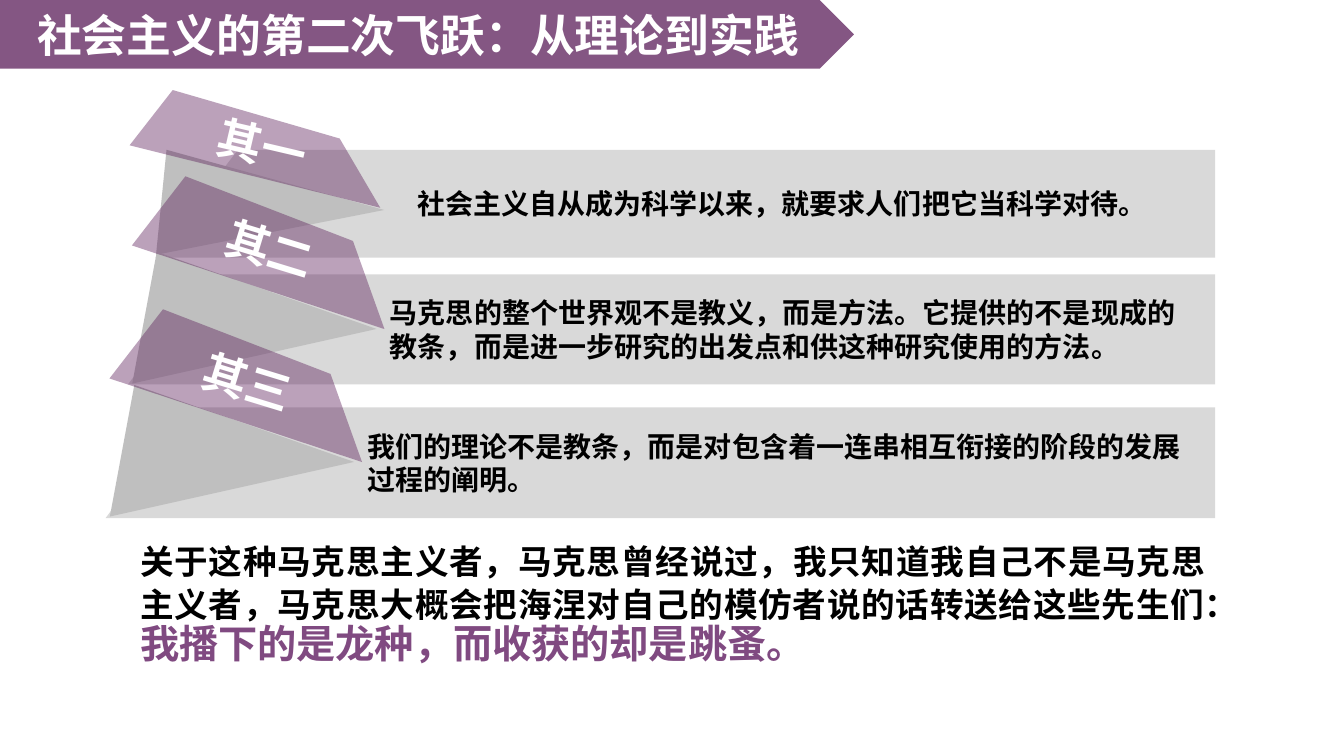
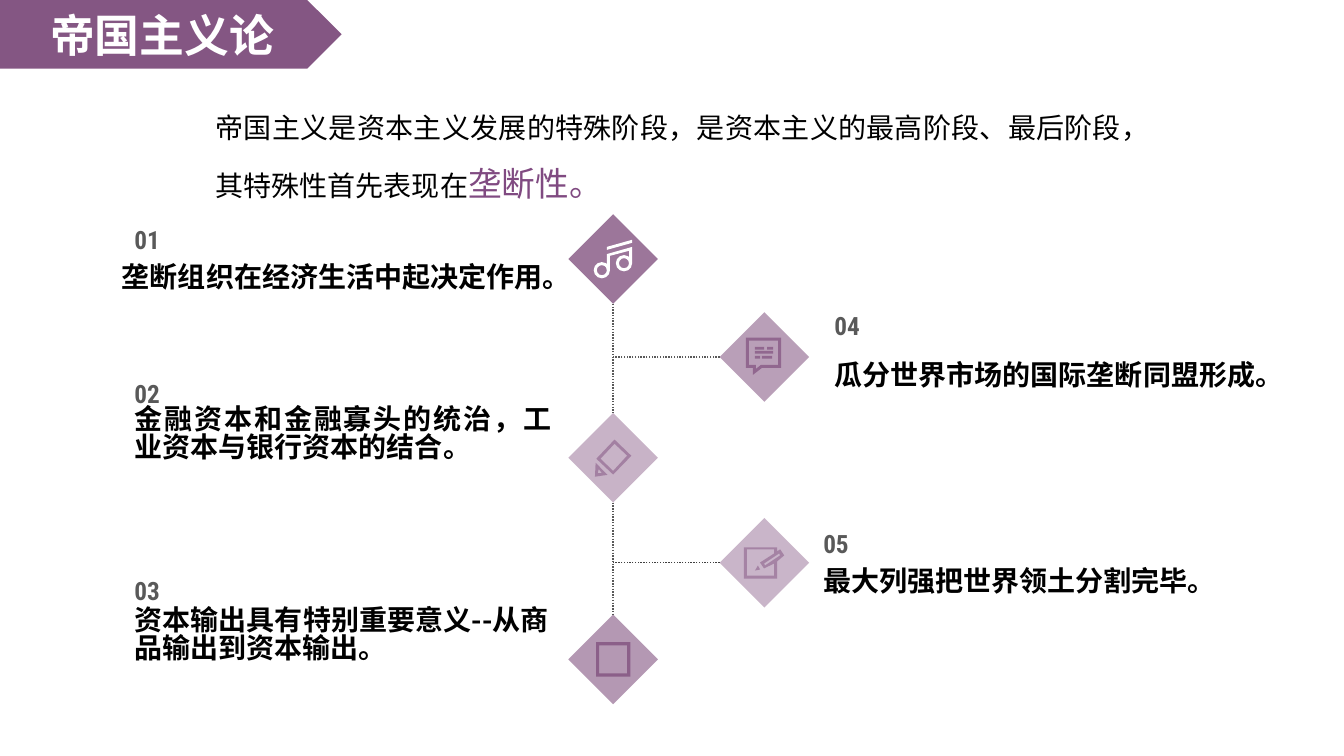
from lxml.etree import SubElement
from pptx import Presentation
from pptx.dml.color import RGBColor
from pptx.enum.dml import MSO_LINE
from pptx.enum.shapes import MSO_CONNECTOR, MSO_SHAPE
from pptx.enum.text import MSO_ANCHOR, MSO_AUTO_SIZE, PP_ALIGN
from pptx.oxml.ns import qn
from pptx.util import Pt

# Shared look
PLUM = RGBColor(0x5A, 0x1B, 0x58)
QUOTE_PLUM = RGBColor(0x80, 0x4A, 0x81)
WHITE = RGBColor(0xFF, 0xFF, 0xFF)
BLACK = RGBColor(0, 0, 0)
BAR_GRAY = RGBColor(0xD9, 0xD9, 0xD9)
FOLD_GRAY = RGBColor(0xBF, 0xBF, 0xBF)
DARK_GRAY = RGBColor(0x59, 0x59, 0x59)
BRANCH_GRAY = RGBColor(0x40, 0x40, 0x40)
CJK_FONT = "Noto Sans CJK SC"
NUMBER_FONT = "Roboto Condensed"
BAND_HEIGHT = 49

HEADING = dict(size=Pt(32), bold=True, name=CJK_FONT)
STATEMENT = dict(size=Pt(20), bold=True, name=CJK_FONT)
INTRO = dict(size=Pt(20), bold=False, name=CJK_FONT)
INTRO_KEY = dict(size=Pt(24), bold=False, name=CJK_FONT)
QUOTE = dict(size=Pt(24), bold=True, name=CJK_FONT)
QUOTE_KEY = dict(size=Pt(28), bold=True, name=CJK_FONT)
NUMBER = dict(size=Pt(18), bold=True, name=NUMBER_FONT)

# Slide 1: tab outline (about its centre) and fold, relative to the bar's corner
FLAT = dict(tab=[(-71, -24), (53, -17.5), (92.5, 24), (-92, 21.5)],
            centre=(76, -3), angle=13.2,
            fold=[(163.5, 43), (8, 0), (0.5, 75)])
STEEP = dict(tab=[(-73, -31.5), (55, -22.5), (95, 31), (-95, 27)],
             centre=(101.5, -18.5), angle=17.1,
             fold=[(177.5, 39), (20.5, -16), (3, 78)])
BAR_RIGHT = 868
BAR_SLANT = 59
ARGUMENTS = [
    ("其一", "社会主义自从成为科学以来，就要求人们把它当科学对待。",
     111, 107, 77, FLAT),
    ("其二", "马克思的整个世界观不是教义，而是方法。它提供的不是现成的教条，"
     "而是进一步研究的出发点和供这种研究使用的方法。", 91.5, 196, 78.5, STEEP),
    ("其三", "我们的理论不是教条，而是对包含着一连串相互衔接的阶段的发展过程的阐明。",
     75.5, 291, 79, STEEP),
]

# Slide 2: features as number, number place, text place and width
FEATURES = [
    ("01", (89, 157), (80, 186, 336), "垄断组织在经济生活中起决定作用。"),
    ("02", (89, 266.5), (89, 287, 312), "金融资本和金融寡头的统治，工业资本与银行资本的结合。"),
    ("03", (89, 407.5), (89, 431, 310), "资本输出具有特别重要意义--从商品输出到资本输出。"),
    ("04", (589, 218), (589, 256, 339), "瓜分世界市场的国际垄断同盟形成。"),
    ("05", (581, 373.5), (581, 403, 319), "最大列强把世界领土分割完毕。"),
]
SPINE_X, BRANCH_X, DIAMOND = 438, 546, 64

# Icon outlines, relative to the centre of their diamond
NOTE_STEM = [(-4.5, 8), (-4.5, -3.5), (13.5, -8.6), (13.5, 3),
             (11.3, 3), (11.3, -5.8), (-2.4, -2.2), (-2.4, 8)]
NOTE_BEAM = [(-4.5, -8.6), (-4.5, -6.5), (13.5, -11.5), (13.5, -13.7)]
NOTE_HEADS = [(-8.1, 8), (7.7, 3)]
PENCIL_BODY = [[(1, -13), (-12, 0.7), (0, 12), (13, -1.4)],
               [(-9, 0.7), (1, -10), (10, -1.5), (0, 9.4)]]
PENCIL_TIP = [[(-13, 13.5), (-4, 12.2), (-12.5, 3.6)],
              [(-10.3, 8), (-8, 11), (-11, 11)]]
SPEECH_BUBBLE = [[(-13.2, -13.8), (-13.2, 7.8), (-8.2, 7.8), (-8.2, 12.8),
                  (-1.7, 7.8), (12, 7.8), (12, -13.8)],
                 [(9.8, 5.6), (-2.4, 5.6), (-6, 8.5), (-6, 5.6),
                  (-11, 5.6), (-11, -11.6), (9.8, -11.6)]]
SPEECH_LINES = [(-6.7, -7.3, 6.5), (2, -7.3, 4.3), (-6.7, -4.4, 13),
                (-6.7, -0.8, 3.6), (-1.7, -0.8, 7.2)]
NOTEPAD = [[(14.2, -5.3), (11.3, -9.6), (9.1, -8.2), (9.1, -11),
            (-14.6, -11), (-14.6, 11.3), (9.1, 11.3), (9.1, -1)],
           [(11.3, -5.3), (0.5, 1.9), (-0.2, 0.5), (10.6, -6.7)],
           [(7, 9.1), (-12.5, 9.1), (-12.5, -9.6), (7, -9.6), (7, -6.7),
            (-3.1, -0.2), (-0.2, 4), (7, 0.5)]]
PEN_POINT = [[(-6.7, 5.5), (-3.1, 4.8), (-4.6, 1.9)]]


def set_values(target, values):
    for name, value in values.items():
        setattr(target, name, value)


def paint(shape, color, alpha=100):
    shape.shadow.inherit = False
    shape.line.fill.background()
    shape.fill.solid()
    shape.fill.fore_color.rgb = color
    if alpha < 100:
        rgb = shape.element.spPr.find(qn("a:solidFill")).find(qn("a:srgbClr"))
        SubElement(rgb, qn("a:alpha")).set("val", str(alpha * 1000))


def write(shape, runs, align=PP_ALIGN.LEFT, spacing=None, **frame_values):
    """Write one paragraph of (text, style, colour) runs."""
    frame = shape.text_frame
    set_values(frame, dict(word_wrap=True) | frame_values)
    paragraph = frame.paragraphs[0]
    set_values(paragraph, dict(alignment=align, line_spacing=spacing))
    for text, style, color in runs:
        run = paragraph.add_run()
        run.text = text
        set_values(run.font, style)
        run.font.color.rgb = color
        east_asian = SubElement(run._r.get_or_add_rPr(), qn("a:ea"))
        east_asian.set("typeface", style["name"])


def add_text(slide, left, top, width, height, runs, **options):
    box = slide.shapes.add_textbox(Pt(left), Pt(top), Pt(width), Pt(height))
    write(box, runs, **options)


def add_preset(slide, kind, left, top, width, height, color, alpha=100):
    shape = slide.shapes.add_shape(kind, Pt(left), Pt(top), Pt(width), Pt(height))
    paint(shape, color, alpha)
    return shape


def add_outline(slide, contours, origin, color, alpha=100):
    """Draw closed contours, given relative to origin, as one shape."""
    x, y = origin
    builder = None
    for contour in contours:
        first, *rest = [(Pt(x + dx), Pt(y + dy)) for dx, dy in contour]
        if builder is None:
            builder = slide.shapes.build_freeform(*first)
        else:
            builder.move_to(*first)
        builder.add_line_segments(rest, close=True)
    shape = builder.convert_to_shape()
    paint(shape, color, alpha)
    return shape


def add_title_band(slide, text, width):
    band = add_preset(slide, MSO_SHAPE.PENTAGON, 0, 0, width, BAND_HEIGHT, PLUM, 74)
    title = slide.shapes.title
    set_values(title, dict(left=0, top=0, width=Pt(width - BAND_HEIGHT / 4),
                           height=Pt(BAND_HEIGHT)))
    write(title, [(text, HEADING, WHITE)], PP_ALIGN.CENTER,
          vertical_anchor=MSO_ANCHOR.MIDDLE, auto_size=MSO_AUTO_SIZE.NONE)
    band.element.addnext(title.element)


def add_argument(slide, label, text, left, top, height, leaf):
    corner = (left, top)
    right = BAR_RIGHT - left
    bar = add_outline(slide, [[(BAR_SLANT, 0), (right, 0), (right, height),
                               (0, height)]], corner, BAR_GRAY)
    write(bar, [(text, STATEMENT, BLACK)], spacing=Pt(24),
          vertical_anchor=MSO_ANCHOR.MIDDLE,
          margin_left=Pt(187), margin_right=Pt(8.5))
    add_outline(slide, [leaf["fold"]], corner, FOLD_GRAY)
    dx, dy = leaf["centre"]
    tab = add_outline(slide, [leaf["tab"]], (left + dx, top + dy), PLUM, 41)
    tab.rotation = leaf["angle"]
    write(tab, [(label, HEADING, WHITE)], PP_ALIGN.CENTER,
          vertical_anchor=MSO_ANCHOR.MIDDLE,
          margin_left=0, margin_top=0, margin_right=0, margin_bottom=0)


def add_diamond(slide, x, y, alpha):
    return add_preset(slide, MSO_SHAPE.DIAMOND, x - DIAMOND / 2, y - DIAMOND / 2,
                      DIAMOND, DIAMOND, PLUM, alpha)


def add_dotted_line(slide, start, site, end=None, end_site=0, to=(0, 0),
                    color=DARK_GRAY):
    line = slide.shapes.add_connector(MSO_CONNECTOR.STRAIGHT, 0, 0,
                                      Pt(to[0]), Pt(to[1]))
    line.begin_connect(start, site)
    if end is not None:
        line.end_connect(end, end_site)
    line.line.color.rgb = color
    set_values(line.line, dict(width=Pt(1), dash_style=MSO_LINE.ROUND_DOT))
    SubElement(line.element.spPr, qn("a:effectLst"))


def add_note_icon(slide, x, y):
    size = 11.6
    for dx, dy in NOTE_HEADS:
        head = add_preset(slide, MSO_SHAPE.DONUT, x + dx - size / 2,
                          y + dy - size / 2, size, size, WHITE)
        head.adjustments[0] = 0.19
    for part in (NOTE_STEM, NOTE_BEAM):
        add_outline(slide, [part], (x, y), WHITE)


def add_speech_icon(slide, x, y, alpha):
    add_outline(slide, SPEECH_BUBBLE, (x, y), PLUM, alpha)
    for dx, dy, width in SPEECH_LINES:
        add_preset(slide, MSO_SHAPE.RECTANGLE, x + dx, y + dy, width, 2, PLUM, alpha)


def build_practice_slide(slide):
    for argument in ARGUMENTS:
        add_argument(slide, *argument)
    add_text(slide, 93, 381, 775, 100, [
        ("关于这种马克思主义者，马克思曾经说过，我只知道我自己不是马克思主义者，"
         "马克思大概会把海涅对自己的模仿者说的话转送给这些先生们：", QUOTE, BLACK),
        ("我播下的是龙种，而收获的却是跳蚤。", QUOTE_KEY, QUOTE_PLUM),
    ], align=PP_ALIGN.JUSTIFY, spacing=Pt(30.5))
    add_title_band(slide, "社会主义的第二次飞跃：从理论到实践", 610)


def build_imperialism_slide(slide):
    # Diamonds and the lines that join them
    music, pencil, square = [add_diamond(slide, SPINE_X, y, alpha)
                             for y, alpha in ((185, 60), (327, 33), (471, 45))]
    add_dotted_line(slide, music, 2, pencil)
    add_dotted_line(slide, pencil, 2, square)
    for y, alpha, color in ((255, 42, DARK_GRAY), (402, 32, BRANCH_GRAY)):
        branch = add_diamond(slide, BRANCH_X, y, alpha)
        add_dotted_line(slide, branch, 1, to=(SPINE_X, y), color=color)

    # Icons
    add_note_icon(slide, SPINE_X, 185)
    for part in (PENCIL_BODY, PENCIL_TIP):
        add_outline(slide, part, (SPINE_X, 327), PLUM, 33)
    frame = add_preset(slide, MSO_SHAPE.FRAME, SPINE_X - 12.25, 471 - 12.25,
                       24.5, 24.5, PLUM, 45)
    frame.adjustments[0] = 0.09
    add_speech_icon(slide, BRANCH_X, 255, 42)
    for part in (NOTEPAD, PEN_POINT):
        add_outline(slide, part, (BRANCH_X, 402), PLUM, 32)

    # Numbered features
    for number, number_place, (left, top, width), text in FEATURES:
        add_text(slide, *number_place, 36, 29, [(number, NUMBER, DARK_GRAY)],
                 word_wrap=False)
        add_text(slide, left, top, width, 27, [(text, STATEMENT, BLACK)],
                 align=PP_ALIGN.JUSTIFY, spacing=Pt(20))

    add_title_band(slide, "帝国主义论", 244)
    add_text(slide, 147, 57, 681, 92, [
        ("帝国主义是资本主义发展的特殊阶段，是资本主义的最高阶段、最后阶段，"
         "其特殊性首先表现在", INTRO, BLACK),
        ("垄断性。", INTRO_KEY, QUOTE_PLUM),
    ], align=PP_ALIGN.JUSTIFY, spacing=Pt(42.5))


def main():
    deck = Presentation()
    set_values(deck, dict(slide_width=Pt(960), slide_height=Pt(540)))
    title_only = deck.slide_layouts[5]
    for build in (build_practice_slide, build_imperialism_slide):
        build(deck.slides.add_slide(title_only))
    deck.save("out.pptx")


if __name__ == "__main__":
    main()
